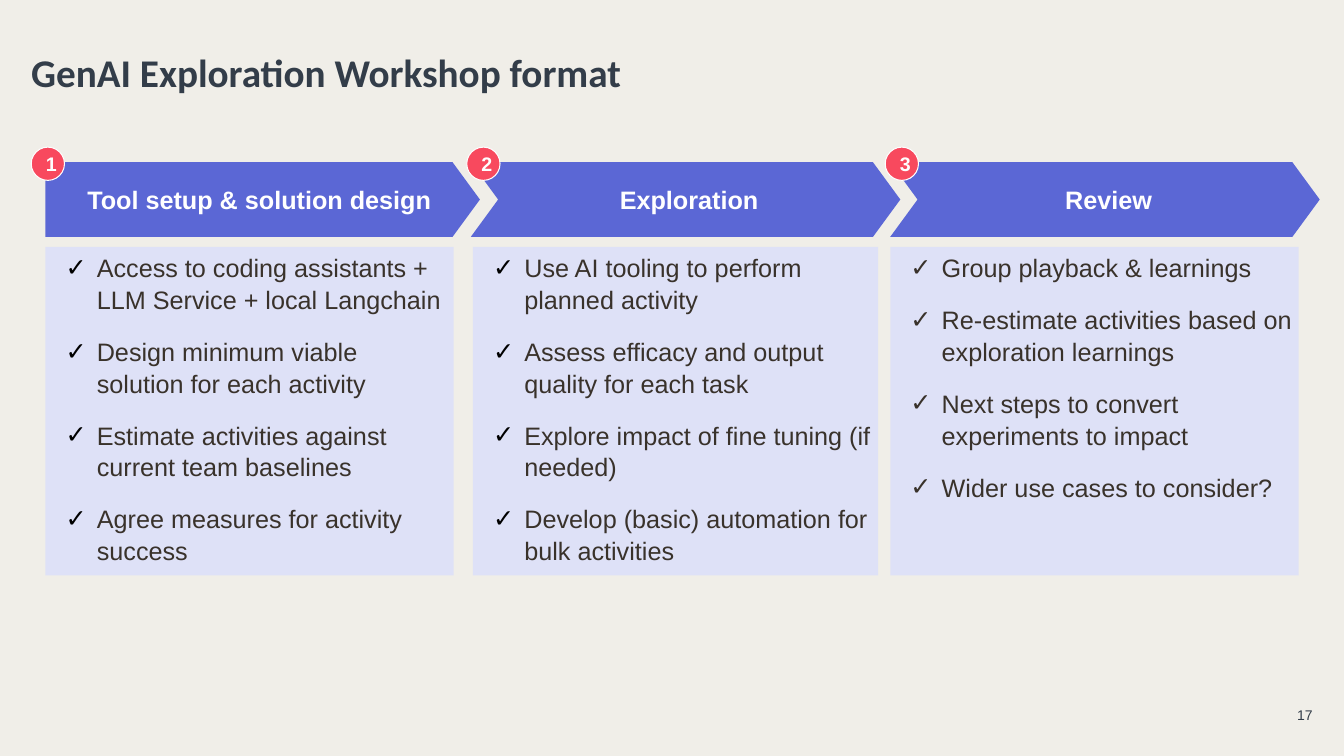
import pptx
import pptx.util
import pptx.dml.color
import pptx.enum.shapes
import pptx.enum.text
from lxml import etree
from pptx.oxml.ns import qn

Inches, Pt = pptx.util.Inches, pptx.util.Pt
SHAPE = pptx.enum.shapes.MSO_SHAPE
ALIGN = pptx.enum.text.PP_ALIGN
ANCHOR = pptx.enum.text.MSO_ANCHOR

# Content
TITLE = "GenAI Exploration Workshop format"
PAGE = "17"
STAGES = [
    dict(name="Tool setup & solution design", check="000000", steps=[
        "Access to coding assistants + LLM Service + local Langchain",
        "Design minimum viable solution for each activity",
        "Estimate activities against current team baselines",
        "Agree measures for activity success"]),
    dict(name="Exploration", check="000000", steps=[
        "Use AI tooling to perform planned activity",
        "Assess efficacy and output quality for each task",
        "Explore impact of fine tuning (if needed)",
        "Develop (basic) automation for bulk activities"]),
    dict(name="Review", check="39322B", steps=[
        "Group playback & learnings",
        "Re-estimate activities based on exploration learnings",
        "Next steps to convert experiments to impact",
        "Wider use cases to consider?"]),
]

# Column geometry in inches: (left, width) of arrow and panel, left of badge
COLUMNS = [
    dict(arrow=(0.45, 4.31), panel=(0.45, 4.05), badge=0.31),
    dict(arrow=(4.67, 4.26), panel=(4.69, 4.02), badge=4.63),
    dict(arrow=(8.83, 4.26), panel=(8.83, 4.05), badge=8.78),
]
ARROW_TOP, ARROW_H = 1.61, 0.74
PANEL_TOP, PANEL_H = 2.45, 3.26
BADGE_TOP, BADGE_D = 1.46, 0.33


def color(hex_code):
    return pptx.dml.color.RGBColor.from_string(hex_code)


def add_check(p, hex_code):
    pPr = p._p.get_or_add_pPr()
    pPr.set("marL", str(Inches(0.47)))
    pPr.set("indent", str(Inches(-0.31)))
    clr = etree.SubElement(pPr, qn("a:buClr"))
    etree.SubElement(clr, qn("a:srgbClr")).set("val", hex_code)
    etree.SubElement(pPr, qn("a:buFont")).set("typeface", "Arial")
    etree.SubElement(pPr, qn("a:buChar")).set("char", "✓")


def write(sp, lines, size, hex_code, font="Arial", bold=False, align=ALIGN.LEFT,
          anchor=ANCHOR.TOP, insets=(0, 0, 0, 0), wrap=True, spacing=None,
          before=0, after=0, check=None):
    tf = sp.text_frame
    tf.word_wrap = wrap
    tf.vertical_anchor = anchor
    tf.margin_left, tf.margin_top, tf.margin_right, tf.margin_bottom = map(Inches, insets)
    for i, line in enumerate(lines):
        p = tf.add_paragraph() if i else tf.paragraphs[0]
        p.alignment = align
        if spacing:
            p.line_spacing = spacing
        if before and i:
            p.space_before = Pt(before)
        if after:
            p.space_after = Pt(after)
        if check:
            add_check(p, check)
        r = p.add_run()
        r.text = line
        r.font.name, r.font.size, r.font.bold = font, Pt(size), bold
        r.font.color.rgb = color(hex_code)


def add_shape(kind, left, top, width, height, fill, line=None):
    sp = s.shapes.add_shape(kind, *map(Inches, (left, top, width, height)))
    sp.shadow.inherit = False
    sp.fill.solid()
    sp.fill.fore_color.rgb = color(fill)
    if line:
        sp.line.color.rgb = color(line)
        sp.line.width = Pt(0.75)
    else:
        sp.line.fill.background()
    return sp


prs = pptx.Presentation()
prs.slide_width, prs.slide_height = Inches(13.33), Inches(7.5)
s = prs.slides.add_slide(prs.slide_layouts[6])
s.background.fill.solid()
s.background.fill.fore_color.rgb = color("F0EEE8")

# Title and page number
sp = s.shapes.add_textbox(Inches(0.31), Inches(0.32), Inches(11.81), Inches(0.63))
write(sp, [TITLE], 28, "333D49", font="Calibri", bold=True, anchor=ANCHOR.BOTTOM, spacing=1.05)
sp = s.shapes.add_textbox(Inches(12.65), Inches(6.95), Inches(0.37), Inches(0.23))
write(sp, [PAGE], 10, "333D49", align=ALIGN.RIGHT, anchor=ANCHOR.BOTTOM, wrap=False)

# Stage arrows and step panels
for i, (stage, col) in enumerate(zip(STAGES, COLUMNS)):
    left, width = col["arrow"]
    sp = add_shape(SHAPE.CHEVRON if i else SHAPE.PENTAGON, left, ARROW_TOP, width, ARROW_H, "5B67D5")
    sp.adjustments[0] = 0.366
    write(sp, [stage["name"]], 18, "FFFFFF", bold=True, align=ALIGN.CENTER,
          anchor=ANCHOR.MIDDLE, insets=(0.07, 0, 0, 0))
    left, width = col["panel"]
    sp = add_shape(SHAPE.RECTANGLE, left, PANEL_TOP, width, PANEL_H, "DEE1F7")
    write(sp, stage["steps"], 18, "39322B", insets=(0.04,) * 4, spacing=1.05,
          before=9, after=5.4, check=stage["check"])

# Number badges on top
for number, col in enumerate(COLUMNS, 1):
    sp = add_shape(SHAPE.OVAL, col["badge"], BADGE_TOP, BADGE_D, BADGE_D, "F8495E", line="FEFEFE")
    write(sp, [str(number)], 14, "FEFEFE", bold=True, align=ALIGN.CENTER,
          anchor=ANCHOR.MIDDLE, insets=(0.07, 0, 0, 0))

prs.save("out.pptx")
